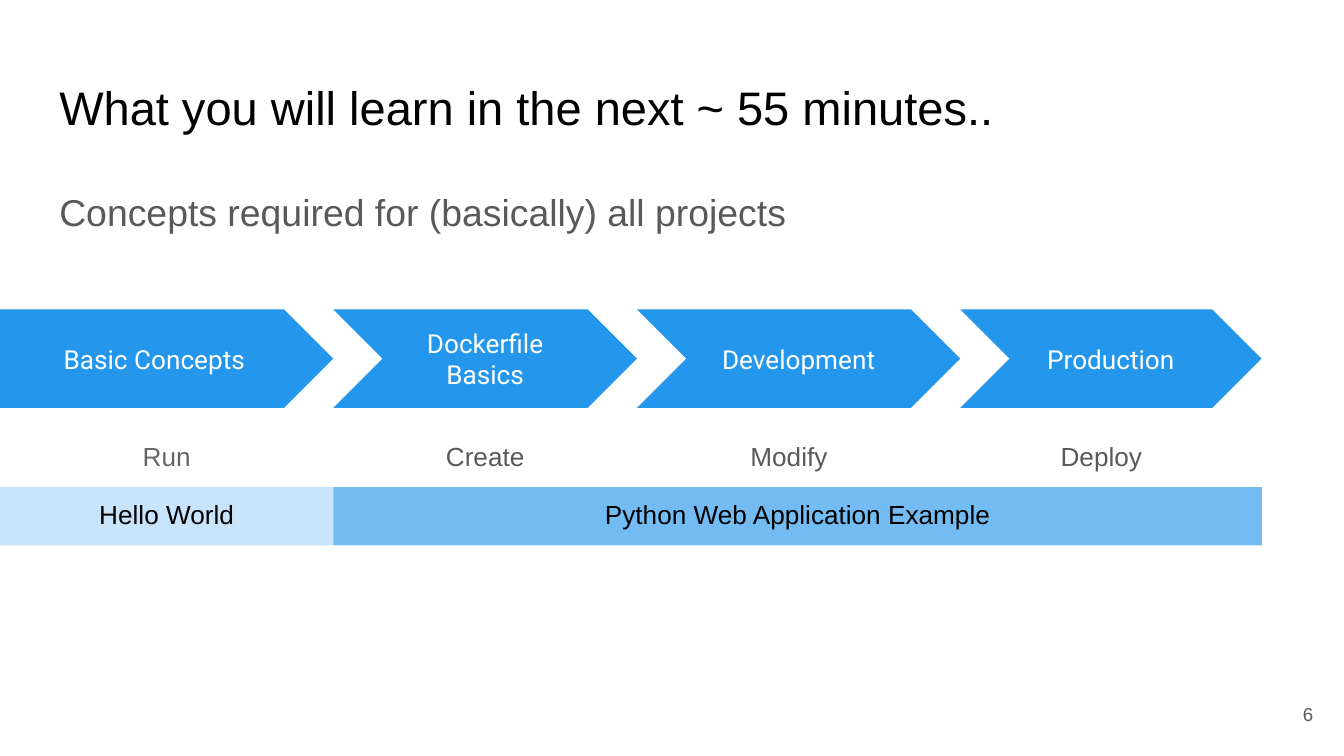
from itertools import accumulate

from lxml.etree import SubElement
from pptx import Presentation
from pptx.dml.color import RGBColor
from pptx.enum.shapes import MSO_SHAPE
from pptx.enum.text import MSO_ANCHOR, MSO_AUTO_SIZE, PP_ALIGN
from pptx.oxml.ns import qn
from pptx.util import Cm, Pt

BLACK = RGBColor(0x00, 0x00, 0x00)
WHITE = RGBColor(0xFF, 0xFF, 0xFF)
GRAY = RGBColor(0x59, 0x59, 0x59)
LIGHT_GRAY = RGBColor(0x66, 0x66, 0x66)
BLUE = RGBColor(0x24, 0x97, 0xED)
INSET = Cm(0.25)
NO_STYLE = "{2D5ABB26-0587-4C30-8999-92F81FD0307C}"


def set_margins(obj):
    obj.margin_left = obj.margin_right = INSET
    obj.margin_top = obj.margin_bottom = INSET


def write(tf, text, size, color, align=PP_ALIGN.LEFT, font="Arial"):
    tf.text = text
    p = tf.paragraphs[0]
    p.alignment = align
    p.font.name = font
    p.font.size = Pt(size)
    p.font.color.rgb = color
    return p


def place_text(sp, box, text, size, color, align=PP_ALIGN.LEFT,
               anchor=MSO_ANCHOR.TOP, font="Arial"):
    sp.left, sp.top, sp.width, sp.height = (Cm(v) for v in box)
    tf = sp.text_frame
    tf.word_wrap = True
    tf.auto_size = MSO_AUTO_SIZE.NONE
    tf.vertical_anchor = anchor
    set_margins(tf)
    return write(tf, text, size, color, align, font)


def add_heading(s, box):
    place_text(s.shapes.title, box,
               "What you will learn in the next ~ 55 minutes..", 25.2, BLACK)


def add_body(s, box):
    p = place_text(s.placeholders[1], box,
                   "Concepts required for (basically) all projects", 20, GRAY)
    p.line_spacing = 1.15
    p.space_before = Pt(0)
    p.space_after = Pt(12)
    pPr = p._p.get_or_add_pPr()
    pPr.set("marL", "0")
    pPr.set("indent", "0")
    pPr.insert_element_before(pPr.makeelement(qn("a:buNone"), {}),
                              "a:tabLst", "a:defRPr", "a:extLst")


def add_page_number(s, box):
    sp = s.shapes.add_textbox(0, 0, 0, 0)
    place_text(sp, box, "6", 10, GRAY, PP_ALIGN.RIGHT, MSO_ANCHOR.MIDDLE)


def add_steps(s, left, top, height, steps):
    lefts = accumulate((width for _, width in steps), initial=left)
    for i, (x, (label, width)) in enumerate(zip(lefts, steps)):
        shape = MSO_SHAPE.CHEVRON if i else MSO_SHAPE.PENTAGON
        sp = s.shapes.add_shape(shape, 0, 0, 0, 0)
        sp.adjustments[0] = 0.5
        sp.shadow.inherit = False
        sp.fill.solid()
        sp.fill.fore_color.rgb = BLUE
        sp.line.fill.background()
        place_text(sp, (x, top, width, height), label, 14, WHITE,
                   PP_ALIGN.CENTER, MSO_ANCHOR.MIDDLE, "Roboto")


def add_task_table(s, left, top, row_height, widths, tasks, task_color, project, opacity):
    frame = s.shapes.add_table(2, len(widths), Cm(left), Cm(top),
                               Cm(sum(widths)), Cm(2 * row_height))
    table = frame.table
    table.first_row = table.horz_banding = False
    table._tbl.tblPr.find(qn("a:tableStyleId")).text = NO_STYLE
    for column, width in zip(table.columns, widths):
        column.width = Cm(width)
    for r, (labels, color) in enumerate(((tasks, task_color), ([project], BLACK))):
        table.rows[r].height = Cm(row_height)
        if len(labels) == 1:
            table.cell(r, 0).merge(table.cell(r, len(widths) - 1))
        for c, label in enumerate(labels):
            cell = table.cell(r, c)
            set_margins(cell)
            cell.fill.background()
            write(cell.text_frame, label, 14, color, PP_ALIGN.CENTER)
    fill = table.cell(1, 0).fill
    fill.solid()
    fill.fore_color.rgb = BLUE
    clr = table.cell(1, 0)._tc.tcPr.find(".//" + qn("a:srgbClr"))
    SubElement(clr, qn("a:alpha"), val=str(opacity * 1000))


def main():
    prs = Presentation()
    prs.slide_width, prs.slide_height = Cm(25.4), Cm(14.29)
    s = prs.slides.add_slide(prs.slide_layouts[1])
    add_heading(s, (0.87, 1.24, 23.67, 1.6))
    add_page_number(s, (23.55, 12.95, 1.52, 1.09))
    add_steps(s, 0, 5.85, 1.86, [("Basic Concepts", 6.3), ("Dockerfile Basics", 5.74),
                                ("Development", 6.11), ("Production", 5.69)])
    add_task_table(s, 6.3, 8.11, 1.1, (5.74, 5.74, 6.07),
                   ["Create", "Modify", "Deploy"], GRAY,
                   "Python Web Application Example", 64)
    add_task_table(s, 0, 8.11, 1.1, (2.06, 2.06, 2.18),
                   ["Run"], LIGHT_GRAY, "Hello World", 25)
    add_body(s, (0.87, 3.2, 23.67, 1.68))
    prs.save("out.pptx")


if __name__ == "__main__":
    main()
